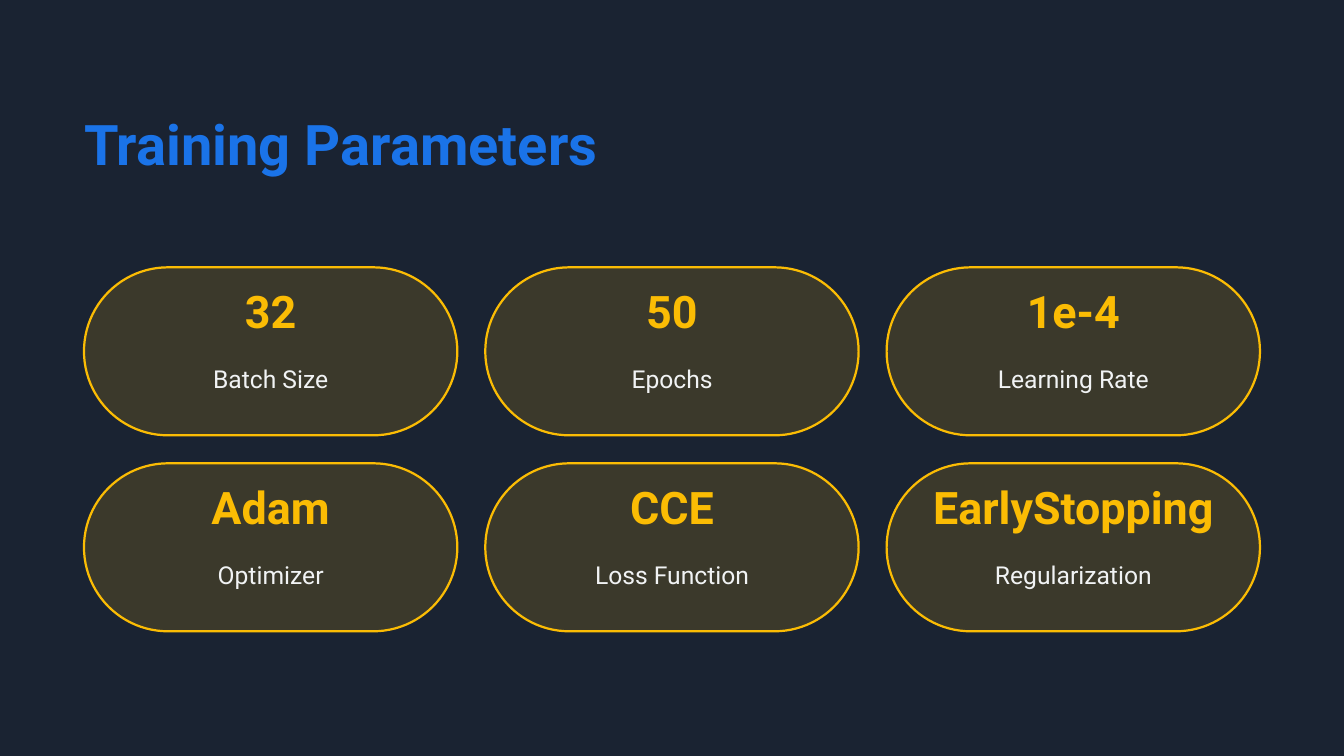
"""Build the training parameters slide."""
from lxml import etree
from pptx import Presentation
from pptx.dml.color import RGBColor
from pptx.enum import shapes, text
from pptx.oxml import ns
from pptx.util import Pt

TITLE = "Training Parameters"
PARAMETERS = [
    ("32", "Batch Size"),
    ("50", "Epochs"),
    ("1e-4", "Learning Rate"),
    ("Adam", "Optimizer"),
    ("CCE", "Loss Function"),
    ("EarlyStopping", "Regularization"),
]
NAVY, BLUE, AMBER, PALE = "1A2332", "1A73E8", "FBBC04", "F1F3F4"
TITLE_FONT = {"name": "Roboto", "size": Pt(30), "bold": True}
VALUE_FONT = {"name": "Roboto", "size": Pt(24), "bold": True}
LABEL_FONT = {"name": "Roboto", "size": Pt(13.2), "bold": False}
COLUMNS, LEFT, TOP = 3, 45, 143.2
CARD_W, CARD_H, GAP = 200, 90, 15
VALUE_W, LABEL_W = 170.6, 168


def color(value):
    return RGBColor.from_string(value)


def add_text(s, content, box, font, ink, align, spacing):
    tf = s.shapes.add_textbox(*map(Pt, box)).text_frame
    frame = {"word_wrap": True, "vertical_anchor": text.MSO_ANCHOR.TOP}
    for side in ("left", "top", "right", "bottom"):
        frame[f"margin_{side}"] = 0
    p = tf.paragraphs[0]
    r = p.add_run()
    r.text = content
    paragraph = {"alignment": align, "line_spacing": Pt(spacing)}
    for target, values in ((tf, frame), (p, paragraph), (r.font, font)):
        for name, value in values.items():
            setattr(target, name, value)
    r.font.color.rgb = color(ink)


def add_card(s, x, y):
    sp = s.shapes.add_shape(
        shapes.MSO_SHAPE.ROUNDED_RECTANGLE, Pt(x), Pt(y), Pt(CARD_W), Pt(CARD_H)
    )
    sp.adjustments[0] = 0.64
    sp.shadow.inherit = False
    sp.fill.solid()
    sp.fill.fore_color.rgb = color(AMBER)
    tint = sp.fill._xPr.find(".//" + ns.qn("a:srgbClr"))
    etree.SubElement(tint, ns.qn("a:alpha"), val="15000")
    sp.line.color.rgb = color(AMBER)
    sp.line.width = Pt(1.2)


def main():
    prs = Presentation()
    prs.slide_width, prs.slide_height = Pt(720), Pt(405)
    s = prs.slides.add_slide(prs.slide_layouts[6])
    s.background.fill.solid()
    s.background.fill.fore_color.rgb = color(NAVY)
    left, center = text.PP_ALIGN.LEFT, text.PP_ALIGN.CENTER
    add_text(s, TITLE, (LEFT, 67.7, 630, 53), TITLE_FONT, BLUE, left, 27)
    for i, (value, label) in enumerate(PARAMETERS):
        row, column = divmod(i, COLUMNS)
        x = LEFT + column * (CARD_W + GAP)
        y = TOP + row * (CARD_H + GAP)
        add_card(s, x, y)
        value_box = (x + (CARD_W - VALUE_W) / 2, y + 16, VALUE_W, 32)
        label_box = (x + (CARD_W - LABEL_W) / 2, y + 55.5, LABEL_W, 18)
        add_text(s, value, value_box, VALUE_FONT, AMBER, center, 21.6)
        add_text(s, label, label_box, LABEL_FONT, PALE, center, 11.9)
    prs.save("out.pptx")


if __name__ == "__main__":
    main()
